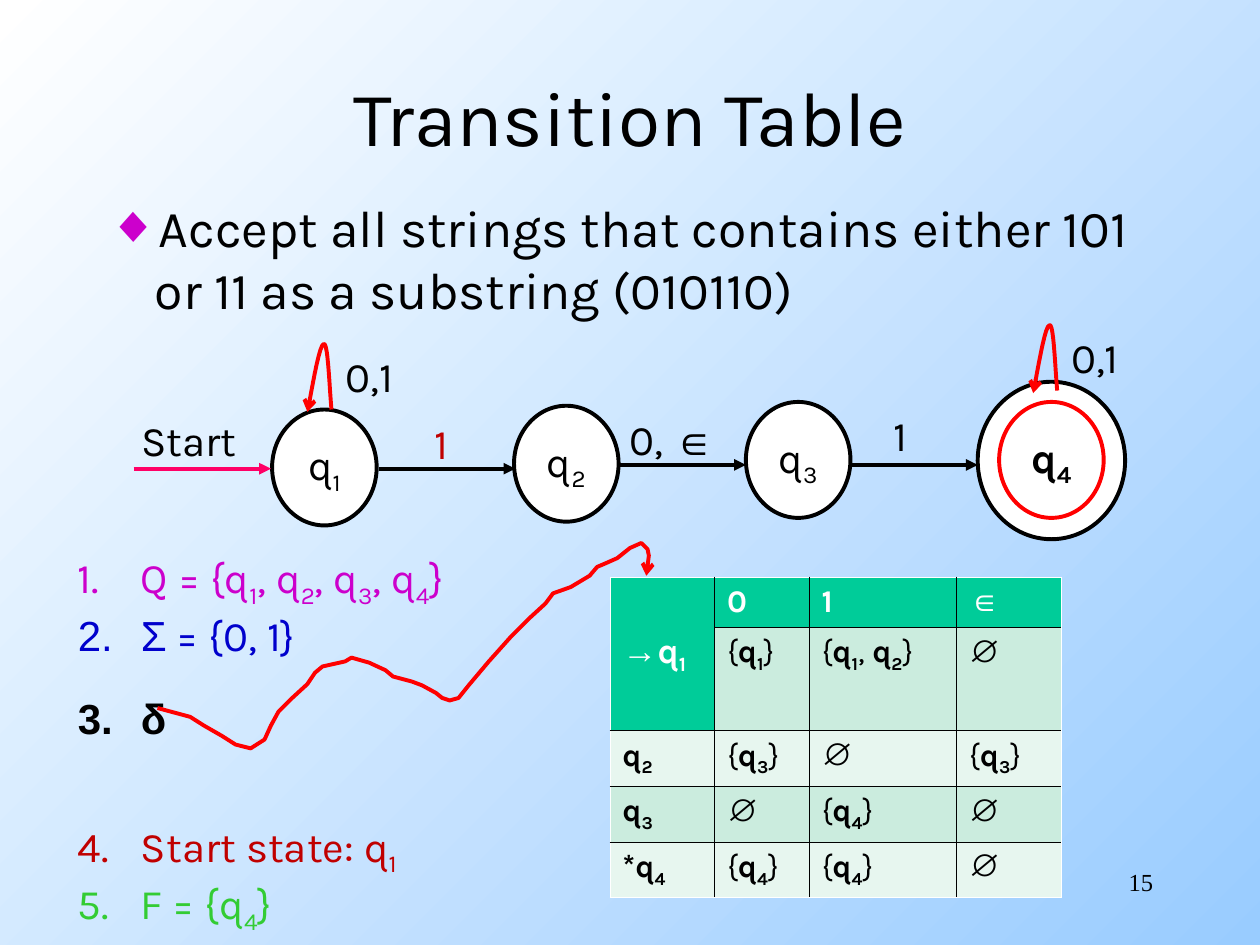
from itertools import groupby

from pptx import Presentation
from pptx import util as u
from pptx.dml.color import RGBColor
from pptx.enum import shapes, text
from pptx.oxml.ns import qn
from pptx.oxml.xmlchemy import OxmlElement

COLORS = dict(black="000000", white="FFFFFF", sky="99CCFF", red="FF0000", pink="FF0066",
              purple="CC00CC", blue="0000CC", brick="C00000", green="33CC33",
              head="00CC99", band="CBECDE", pale="E7F6EF")
SUBSCRIPTS = dict(zip("₁₂₃₄", "1234"))
SYMBOLS = "∈∅Σδ→"
STATE_CHARS = "*q₁₂₃₄"

TITLE = "Transition Table"
GOAL = "Accept all strings that contains either 101 or 11 as a substring (010110)"
PAGE = "15"

STATE_SIZE = (0.83, 0.92)
# name, left, top, outline, bold
STATES = [("q₁", 2.16, 3.25, "black", False), ("q₂", 4.08, 3.22, "black", False),
          ("q₃", 5.92, 3.19, "black", False), ("q₄", 7.93, 3.19, "red", True)]
FINAL_RING = (7.76, 3.03, 1.17, 1.25)
# x from, x to, y, colour
MOVES = [(1.06, 2.15, 3.72, "pink"), (3.01, 4.09, 3.72, "black"),
         (4.92, 5.92, 3.69, "black"), (6.76, 7.76, 3.69, "black")]
LABEL_SIZE = (1.1, 0.33)
# wording, centre x, centre y, colour
MOVE_LABELS = [("Start", 1.5, 3.49, "black"), ("1", 3.5, 3.51, "brick"),
               ("0, ∈", 5.34, 3.48, "black"), ("1", 7.15, 3.45, "black")]
LOOP = [((2.63, 3.25), (2.61, 2.99), (2.6, 2.72), (2.57, 2.73)),
        ((2.57, 2.73), (2.53, 2.73), (2.46, 3.18), (2.44, 3.27))]
LOOP_LABEL = ("0,1", 2.93, 2.98)
LOOP_SHIFTS = [(0, 0), (5.76, -0.15)]

# wording, colour, bold, points of space before
DEFINITION = [("Q = {q₁, q₂, q₃, q₄}", "purple", False, 0), ("Σ = {0, 1}", "blue", False, 0),
              ("δ", "black", True, 19), ("Start state: q₁", "brick", False, 44),
              ("F = {q₄}", "green", False, 0)]
TRANSITIONS = [["→q₁", "0", "1", "∈"],
               ["", "{q₁}", "{q₁, q₂}", "∅"],
               ["q₂", "{q₃}", "∅", "{q₃}"],
               ["q₃", "∅", "{q₄}", "∅"],
               ["*q₄", "{q₄}", "{q₄}", "∅"]]
COL_WIDTHS = [0.83, 0.75, 1.17, 0.83]
ROW_HEIGHTS = [0.4, 0.82, 0.44, 0.44, 0.44]
# from δ to the table
POINTER = [(1.25, 5.62), (1.51, 5.69), (1.62, 5.76), (1.76, 5.84), (1.87, 5.91), (1.99, 5.94),
           (2.1, 5.87), (2.15, 5.76), (2.21, 5.65), (2.32, 5.54), (2.44, 5.43), (2.5, 5.34),
           (2.56, 5.29), (2.74, 5.25), (2.79, 5.22), (2.93, 5.26), (3.06, 5.32), (3.12, 5.37),
           (3.27, 5.41), (3.35, 5.44), (3.46, 5.5), (3.51, 5.54), (3.57, 5.56), (3.64, 5.54),
           (3.72, 5.44), (3.88, 5.25), (4.05, 5.06), (4.21, 4.9), (4.33, 4.79), (4.39, 4.71),
           (4.53, 4.66), (4.68, 4.57), (4.74, 4.5), (4.81, 4.47), (4.9, 4.43), (5, 4.35),
           (5.09, 4.31), (5.14, 4.36), (5.15, 4.41), (5.13, 4.57)]


def rgb(name):
    return RGBColor.from_string(COLORS[name])


def inches(values):
    return [u.Inches(v) for v in values]


def child(parent, tag, **attributes):
    node = OxmlElement(tag)
    for key, value in attributes.items():
        node.set(key, value)
    parent.append(node)
    return node


def write(paragraph, words, size=24, color="black", bold=lambda char: False):
    """Split words into runs: symbols in Arial, subscripts lowered."""
    paragraph.font.size = u.Pt(size)
    paragraph.font.color.rgb = rgb(color)

    def style(char):
        return "Arial" if char in SYMBOLS else "Karla", char in SUBSCRIPTS, bold(char)

    for (font, lowered, heavy), chars in groupby(words, style):
        run = paragraph.add_run()
        run.text = "".join(SUBSCRIPTS.get(c, c) for c in chars)
        run.font.name, run.font.bold = font, heavy
        run.font.size, run.font.color.rgb = u.Pt(size), rgb(color)
        if lowered:
            run.font._element.set("baseline", "-25000")


def bullet(paragraph, color, tag, indent, **attributes):
    props = paragraph._p.get_or_add_pPr()
    props.set("marL", str(u.Inches(indent)))
    props.set("indent", str(-u.Inches(indent)))
    child(child(props, "a:buClr"), "a:srgbClr", val=COLORS[color])
    child(props, tag, **attributes)


def center(frame, words, **style):
    frame.word_wrap = False
    frame.vertical_anchor = text.MSO_ANCHOR.MIDDLE
    frame.paragraphs[0].alignment = text.PP_ALIGN.CENTER
    write(frame.paragraphs[0], words, **style)


def add_label(slide, words, x, y, color="black"):
    width, height = LABEL_SIZE
    box = inches((x - width / 2, y - height / 2, width, height))
    center(slide.shapes.add_textbox(*box).text_frame, words, color=color)


def add_circle(slide, box, outline="black"):
    circle = slide.shapes.add_shape(shapes.MSO_SHAPE.OVAL, *inches(box))
    circle.shadow.inherit = False
    circle.fill.solid()
    circle.fill.fore_color.rgb = rgb("white")
    circle.line.color.rgb, circle.line.width = rgb(outline), u.Pt(2.25)
    return circle


def finish_arrow(line, color, head):
    line.line.color.rgb, line.line.width = rgb(color), u.Pt(2.25)
    child(line.element.spPr.find(qn("a:ln")), "a:tailEnd", type=head)
    child(line.element.spPr, "a:effectLst")


def add_curve(slide, points):
    start, *rest = [inches(p) for p in points]
    builder = slide.shapes.build_freeform(*start)
    builder.add_line_segments(rest, close=False)
    curve = builder.convert_to_shape()
    curve.fill.background()
    finish_arrow(curve, "red", "arrow")


def bezier(a, b, c, d, steps=10):
    for t in (i / steps for i in range(steps + 1)):
        s = 1 - t
        yield tuple(s**3 * p + 3 * s * s * t * q + 3 * s * t * t * r + t**3 * e
                    for p, q, r, e in zip(a, b, c, d))


def add_automaton(slide):
    add_circle(slide, FINAL_RING)
    for name, left, top, outline, heavy in STATES:
        circle = add_circle(slide, (left, top, *STATE_SIZE), outline)
        center(circle.text_frame, name, bold=lambda char: heavy)
    for x1, x2, y, color in MOVES:
        arrow = slide.shapes.add_connector(shapes.MSO_CONNECTOR.STRAIGHT, *inches((x1, y, x2, y)))
        finish_arrow(arrow, color, "triangle")
    for label in MOVE_LABELS:
        add_label(slide, *label)
    words, label_x, label_y = LOOP_LABEL
    for dx, dy in LOOP_SHIFTS:
        add_curve(slide, [(x + dx, y + dy) for part in LOOP for x, y in bezier(*part)])
        add_label(slide, words, label_x + dx, label_y + dy)


def add_transitions(slide):
    rows, cols = len(ROW_HEIGHTS), len(COL_WIDTHS)
    box = inches((4.84, 4.58, sum(COL_WIDTHS), sum(ROW_HEIGHTS)))
    table = slide.shapes.add_table(rows, cols, *box).table
    table.first_row = table.horz_banding = False
    for column, width in zip(table.columns, COL_WIDTHS):
        column.width = u.Inches(width)
    for row, height in zip(table.rows, ROW_HEIGHTS):
        row.height = u.Inches(height)
    table.cell(0, 0).merge(table.cell(1, 0))
    for r, line in enumerate(TRANSITIONS):
        for c, words in enumerate(line):
            cell = table.cell(r, c)
            if cell.is_spanned:
                continue
            outer = dict(L=c == 0, R=c == cols - 1, T=r == 0, B=r == rows - 1)
            for side, at_edge in outer.items():
                border = child(cell._tc.get_or_add_tcPr(), "a:ln" + side, w=str(u.Pt(0.45)))
                edge_color = COLORS["white" if at_edge else "black"]
                child(child(border, "a:solidFill"), "a:srgbClr", val=edge_color)
            cell.fill.solid()
            cell.fill.fore_color.rgb = rgb("head" if r == 0 else "band" if r % 2 else "pale")
            write(cell.text_frame.paragraphs[0], words, 20 if r == c == 0 else 18,
                  "white" if r == 0 else "black",
                  lambda char: r == 0 or char in STATE_CHARS)
    table.cell(0, 0).vertical_anchor = text.MSO_ANCHOR.MIDDLE


def add_definition(slide):
    frame = slide.shapes.add_textbox(*inches((0.52, 4.33, 3.37, 3.25))).text_frame
    frame.word_wrap = True
    for i, (words, color, heavy, gap) in enumerate(DEFINITION):
        paragraph = frame.add_paragraph() if i else frame.paragraphs[0]
        if gap:
            paragraph.space_before = u.Pt(gap)
        bullet(paragraph, color, "a:buAutoNum", 0.5, type="arabicPeriod")
        write(paragraph, words, color=color, bold=lambda char: heavy)


def main():
    deck = Presentation()
    deck.slide_width, deck.slide_height = inches((10, 7.5))
    slide = deck.slides.add_slide(deck.slide_layouts[1])
    backdrop = slide.background.fill
    backdrop.gradient()
    backdrop.gradient_angle = 315
    for stop, color, position in zip(backdrop.gradient_stops, ("white", "sky"), (0, 1)):
        stop.color.rgb, stop.position = rgb(color), position

    title, goal = slide.placeholders
    title.left, title.top, title.width, title.height = inches((0.75, 0.67, 8.5, 0.5))
    center(title.text_frame, TITLE, size=44)
    title.text_frame.word_wrap = True
    goal.left, goal.top, goal.width, goal.height = inches((0.75, 1.5, 8.5, 1.17))
    aim = goal.text_frame.paragraphs[0]
    aim.space_before = u.Pt(0)
    bullet(aim, "purple", "a:buChar", 0.38, char="◆")
    write(aim, GOAL, 29.6)

    page = slide.shapes.add_textbox(*inches((7.17, 6.83, 2.08, 0.5))).text_frame.paragraphs[0]
    page.text, page.alignment = PAGE, text.PP_ALIGN.RIGHT
    page.font.name, page.font.size = "Times New Roman", u.Pt(14)
    page.font.color.rgb = rgb("black")

    add_automaton(slide)
    add_transitions(slide)
    add_definition(slide)
    add_curve(slide, POINTER)
    deck.save("out.pptx")


if __name__ == "__main__":
    main()
